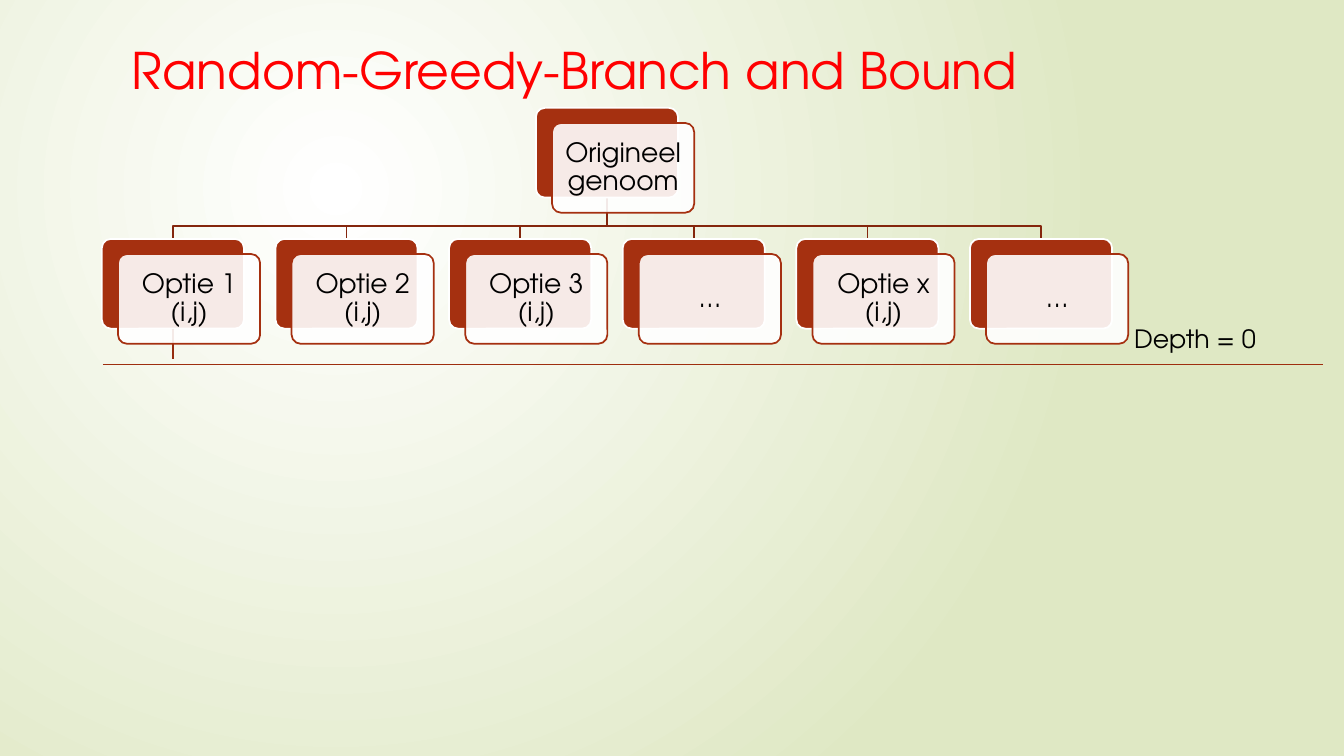
from dataclasses import dataclass

from lxml import etree
from pptx import Presentation
from pptx.dml.color import RGBColor
from pptx.enum.shapes import MSO_CONNECTOR, MSO_SHAPE
from pptx.enum.text import MSO_ANCHOR, PP_ALIGN
from pptx.oxml.ns import qn
from pptx.util import Inches, Pt

STRAIGHT = MSO_CONNECTOR.STRAIGHT
ROUNDED = MSO_SHAPE.ROUNDED_RECTANGLE
TOP, MIDDLE = MSO_ANCHOR.TOP, MSO_ANCHOR.MIDDLE
LEFT, CENTER = PP_ALIGN.LEFT, PP_ALIGN.CENTER
BOTTOM_SIDE = 2


@dataclass(frozen=True)
class Theme:
    font: str = "TeX Gyre Adventor"
    title: str = "FF0000"
    text: str = "000000"
    card: str = "A53010"
    paper: str = "FFFFFF"
    branch: str = "84260D"
    stub: str = "962C0F"
    rule: str = "9E2E0F"
    background: tuple = ("FFFFFF", "DFE8C4")
    title_size: float = 36
    card_size: float = 19
    label_size: float = 18
    line_width: float = 1.25
    rule_width: float = 0.75


@dataclass(frozen=True)
class Box:
    left: float
    top: float
    width: float
    height: float

    @property
    def center(self):
        return self.left + self.width / 2

    @property
    def bottom(self):
        return self.top + self.height

    def moved(self, right, down):
        return Box(self.left + right, self.top + down, self.width, self.height)

    def inches(self):
        return [Inches(value) for value in (self.left, self.top, self.width, self.height)]


THEME = Theme()
SLIDE_WIDTH, SLIDE_HEIGHT = 13.33, 7.5
TITLE_BOX = Box(1.21, 0.34, 9.75, 1.4)
TREE_BOX = Box(1.01, 1.07, 10.02, 2.19)
DEPTH_BOX = Box(1.02, 3.16, 12.1, 0.46)
CARD_WIDTH, CARD_HEIGHT = 1.41, 0.89
FRONT_OFFSET = (0.16, 0.15)
BUS_DROP = 0.28
STUB_LENGTH = 0.3
OPTIONS = ["Optie 1 (i,j)", "Optie 2 (i,j)", "Optie 3 (i,j)", "…", "Optie x (i,j)", "…"]


def color(value):
    return RGBColor.from_string(value)


def style_line(line, line_color, width):
    line.color.rgb = color(line_color)
    line.width = Pt(width)


def write_text(text_frame, text, size, text_color, align=LEFT, anchor=TOP):
    text_frame.word_wrap = True
    text_frame.vertical_anchor = anchor
    text_frame.text = text
    paragraph = text_frame.paragraphs[0]
    paragraph.alignment = align
    font = paragraph.runs[0].font
    font.name = THEME.font
    font.size = Pt(size)
    font.color.rgb = color(text_color)
    return paragraph


def paint_background(slide):
    fill = slide.background.fill
    fill.gradient()
    for stop, value in zip(fill.gradient_stops, THEME.background):
        stop.color.rgb = color(value)
    gradient = next(slide.element.iter(qn("a:gradFill")))
    gradient.remove(gradient.find(qn("a:lin")))
    circle = etree.SubElement(gradient, qn("a:path"), path="circle")
    etree.SubElement(circle, qn("a:fillToRect"), l="50000", t="50000", r="100000", b="100000")


def add_title(slide, box):
    text_box = slide.shapes.add_textbox(*box.inches())
    write_text(text_box.text_frame, "Random-Greedy-Branch and Bound", THEME.title_size, THEME.title)


def add_card(slide, box, fill_color, line_color):
    card = slide.shapes.add_shape(ROUNDED, *box.inches())
    card.adjustments[0] = 0.1
    card.shadow.inherit = False
    card.fill.solid()
    card.fill.fore_color.rgb = color(fill_color)
    style_line(card.line, line_color, THEME.line_width)
    return card


def add_front_card(slide, box, text):
    card = add_card(slide, box.moved(*FRONT_OFFSET), THEME.paper, THEME.card)
    paper = card.fill._xPr.find(qn("a:solidFill"))[0]
    etree.SubElement(paper, qn("a:alpha"), val="90000")
    frame = card.text_frame
    frame.margin_left = frame.margin_right = Inches(0.1)
    frame.margin_top = frame.margin_bottom = Inches(0.1)
    paragraph = write_text(frame, text, THEME.card_size, THEME.text, CENTER, MIDDLE)
    paragraph.line_spacing = 0.9


def add_branch(slide, parent, child):
    bus = parent.bottom + BUS_DROP
    builder = slide.shapes.build_freeform(Inches(parent.center), Inches(parent.bottom))
    corners = [(parent.center, bus), (child.center, bus), (child.center, child.top)]
    builder.add_line_segments([(Inches(x), Inches(y)) for x, y in corners], close=False)
    branch = builder.convert_to_shape()
    branch.shadow.inherit = False
    branch.fill.background()
    style_line(branch.line, THEME.branch, THEME.line_width)


def add_line(slide, start, end, line_color, width):
    points = [Inches(value) for value in (*start, *end)]
    line = slide.shapes.add_connector(STRAIGHT, *points)
    style_line(line.line, line_color, width)
    etree.SubElement(line.element.spPr, qn("a:effectLst"))
    return line


def add_tree(slide, box):
    pitch = (box.width - CARD_WIDTH) / (len(OPTIONS) - 1)
    option_top = box.bottom - CARD_HEIGHT
    root = Box(box.center - CARD_WIDTH / 2, box.top, CARD_WIDTH, CARD_HEIGHT)
    options = [
        Box(box.left + column * pitch, option_top, CARD_WIDTH, CARD_HEIGHT)
        for column in range(len(OPTIONS))
    ]
    for option in options:
        add_branch(slide, root, option)
    cards = [root, *options]
    backs = [add_card(slide, card, THEME.card, THEME.paper) for card in cards]
    first = options[0]
    stub = add_line(
        slide,
        (first.center, first.bottom),
        (first.center, first.bottom + STUB_LENGTH),
        THEME.stub,
        THEME.line_width,
    )
    stub.begin_connect(backs[1], BOTTOM_SIDE)
    for card, text in zip(cards, ["Origineel genoom", *OPTIONS]):
        add_front_card(slide, card, text)


def add_depth_rule(slide, box):
    right = box.left + box.width
    add_line(slide, (box.left, box.bottom), (right, box.bottom), THEME.rule, THEME.rule_width)
    label = Box(right - 1.97, box.top, 2.08, 0.4)
    text_box = slide.shapes.add_textbox(*label.inches())
    write_text(text_box.text_frame, "Depth = 0", THEME.label_size, THEME.text)


def main():
    presentation = Presentation()
    presentation.slide_width = Inches(SLIDE_WIDTH)
    presentation.slide_height = Inches(SLIDE_HEIGHT)
    slide = presentation.slides.add_slide(presentation.slide_layouts[6])
    paint_background(slide)
    add_title(slide, TITLE_BOX)
    add_tree(slide, TREE_BOX)
    add_depth_rule(slide, DEPTH_BOX)
    presentation.save("out.pptx")


if __name__ == "__main__":
    main()
